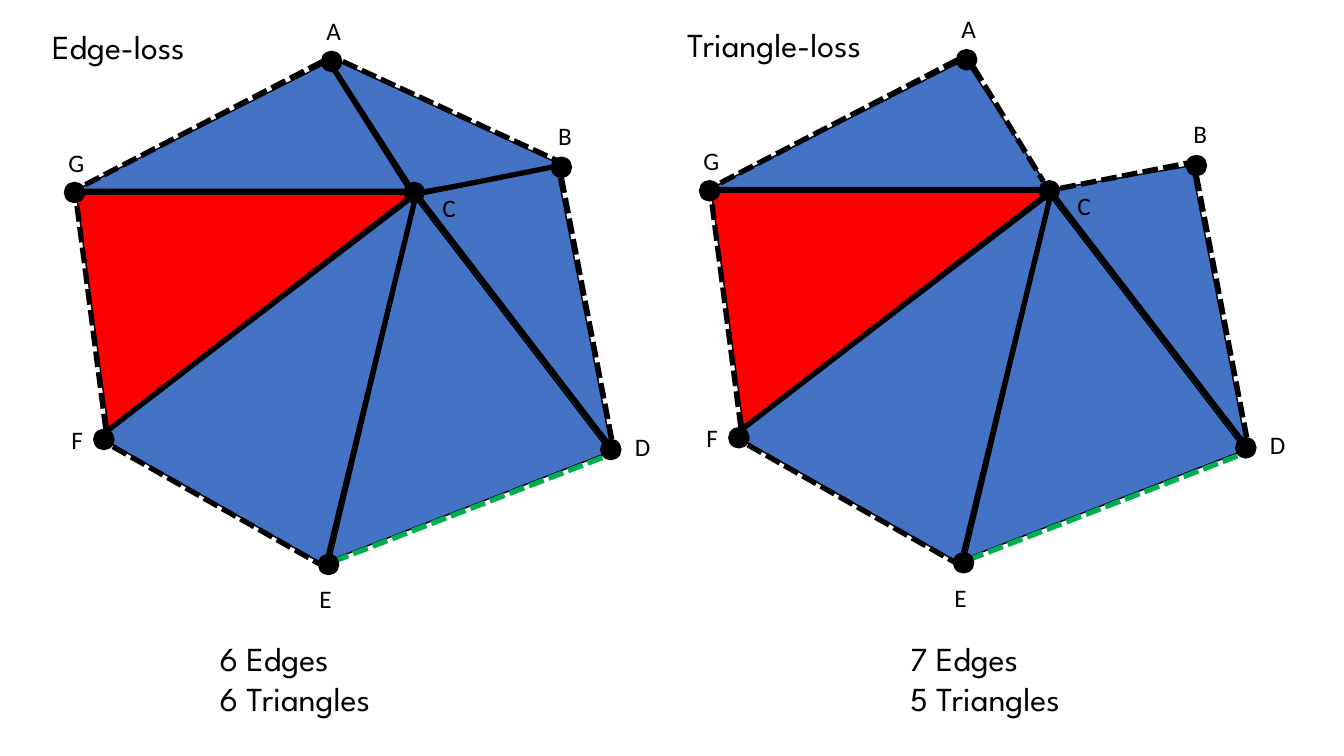
"""Build a slide comparing edge-loss and triangle-loss on a triangle mesh."""
from lxml import etree
from pptx import Presentation
from pptx.dml.color import RGBColor
from pptx.enum.dml import MSO_LINE
from pptx.enum.shapes import MSO_CONNECTOR, MSO_SHAPE
from pptx.enum.text import MSO_AUTO_SIZE
from pptx.oxml.ns import qn
from pptx.util import Pt

STRAIGHT = MSO_CONNECTOR.STRAIGHT
TRIANGLE = MSO_SHAPE.ISOSCELES_TRIANGLE
OVAL = MSO_SHAPE.OVAL
DASH = MSO_LINE.SQUARE_DOT
SOLID = MSO_LINE.SOLID
GROW = MSO_AUTO_SIZE.SHAPE_TO_FIT_TEXT
BLACK, BLUE, RED, GREEN = "000000", "4472C4", "FF0000", "00B050"
DOT_SIZE = 14.4

LABEL = {"name": "Calibri", "size": Pt(18)}
HEADING = {"name": "League Spartan", "size": Pt(24)}

TRIANGLES = {
    "ABC": (213.1, 76.3, 183.6, 61.9, 204.9, 0.467, BLUE),
    "ACG": (55.4, 43.9, 239.8, 91.4, 0, 0.752, BLUE),
    "CFG": (2.9, 88.6, 278.6, 150.5, 322.4, 0.31, RED),
    "CEF": (123.8, 115.9, 184.3, 259.2, 29.6, 0.597, BLUE),
    "CDE": (189.4, 150.5, 214.6, 218.2, 338.8, 0.7, BLUE),
    "BCD": (283.7, 156.2, 237.6, 93.6, 52.5, 0.209, BLUE),
}
EDGES = {
    "CF": (290.9, 142.6, 74.2, 309.6, SOLID, BLACK),
    "CE": (295.9, 144.7, 234.7, 396, SOLID, BLACK),
    "CD": (296.3, 137.2, 441.4, 326.2, SOLID, BLACK),
    "CG": (288.7, 137.5, 60.5, 137.5, SOLID, BLACK),
    "BD": (401, 126.7, 437, 313.9, DASH, BLACK),
    "AG": (230.4, 43.9, 59.8, 132.5, DASH, BLACK),
    "DE": (238.3, 401, 432, 326.2, DASH, GREEN),
    "FG": (75.6, 306.7, 54.7, 144.7, DASH, BLACK),
    "EF": (80.6, 319, 229, 403.2, DASH, BLACK),
}
CLOSED_EDGES = {
    "AC": (231.8, 38.9, 290.9, 132.5, SOLID, BLACK),
    "BC": (303.1, 137.5, 393.8, 119.5, SOLID, BLACK),
    "AB": (244.8, 43.9, 397.4, 114.5, DASH, BLACK),
}
OPEN_EDGES = {
    "AC": (241.9, 49.3, 291.6, 130.7, DASH, BLACK),
    "BC": (303.8, 135.7, 394.6, 117.7, DASH, BLACK),
}
VERTICES = {
    "A": (229.7, 36.7, 226.1, 7.2, 45.4),
    "B": (393.8, 112.3, 391.7, 82.1, 45.4),
    "C": (288.7, 130.3, 308.9, 133.9, 45.4),
    "D": (429.1, 313.9, 446.4, 304.6, 45.4),
    "E": (227.5, 396, 221, 413.3, 45.4),
    "F": (67, 306.7, 43.9, 299.5, 22.3),
    "G": (46.1, 130.3, 41.8, 101.5, 45.4),
}
PANELS = [
    (0, 0, "Edge-loss", ["6 Edges", "6 Triangles"], 149.8,
     list(TRIANGLES), CLOSED_EDGES),
    (453.6, -1.2, "Triangle-loss", ["7 Edges", "5 Triangles"], 643,
     [name for name in TRIANGLES if name != "ABC"], OPEN_EDGES),
]

presentation = Presentation()
presentation.slide_width = Pt(960)
presentation.slide_height = Pt(540)
slide = presentation.slides.add_slide(presentation.slide_layouts[6])


def add_filled(kind, left, top, width, height, fill):
    """Add a filled preset shape with a thin black outline."""
    shape = slide.shapes.add_shape(kind, Pt(left), Pt(top), Pt(width), Pt(height))
    shape.shadow.inherit = False
    shape.fill.solid()
    shape.fill.fore_color.rgb = RGBColor.from_string(fill)
    shape.line.color.rgb = RGBColor.from_string(BLACK)
    shape.line.width = Pt(1)
    return shape


def add_text(lines, left, top, width, height, formats, wrap=True):
    """Add a text box with one paragraph per line."""
    box = slide.shapes.add_textbox(Pt(left), Pt(top), Pt(width), Pt(height))
    frame = box.text_frame
    frame.word_wrap = wrap
    frame.auto_size = GROW
    frame.text = "\n".join(lines)
    for paragraph in frame.paragraphs:
        font = paragraph.runs[0].font
        font.color.rgb = RGBColor.from_string(BLACK)
        for attribute, value in formats.items():
            setattr(font, attribute, value)


for shift_x, shift_y, heading, counts, counts_left, faces, rim_edges in PANELS:
    for face in faces:
        left, top, width, height, rotation, apex, fill = TRIANGLES[face]
        shape = add_filled(TRIANGLE, left + shift_x, top + shift_y, width, height, fill)
        shape.adjustments[0] = apex
        shape.rotation = rotation

    for x1, y1, x2, y2, dash, color in [*EDGES.values(), *rim_edges.values()]:
        edge = slide.shapes.add_connector(
            STRAIGHT, Pt(x1 + shift_x), Pt(y1 + shift_y),
            Pt(x2 + shift_x), Pt(y2 + shift_y))
        edge.line.color.rgb = RGBColor.from_string(color)
        edge.line.width = Pt(3.75)
        edge.line.dash_style = dash
        etree.SubElement(edge.element.spPr, qn("a:effectLst"))

    for name, (dot_x, dot_y, label_x, label_y, label_width) in VERTICES.items():
        add_filled(OVAL, dot_x + shift_x, dot_y + shift_y, DOT_SIZE, DOT_SIZE, BLACK)
        add_text([name], label_x + shift_x, label_y + shift_y, label_width, 28.8, LABEL)

    add_text([heading], 30.2 + shift_x, 15.1 + shift_y, 156.2, 36, HEADING)
    add_text(counts, counts_left, 452.2, 133.2, 65.5, HEADING, wrap=False)

presentation.save("out.pptx")
